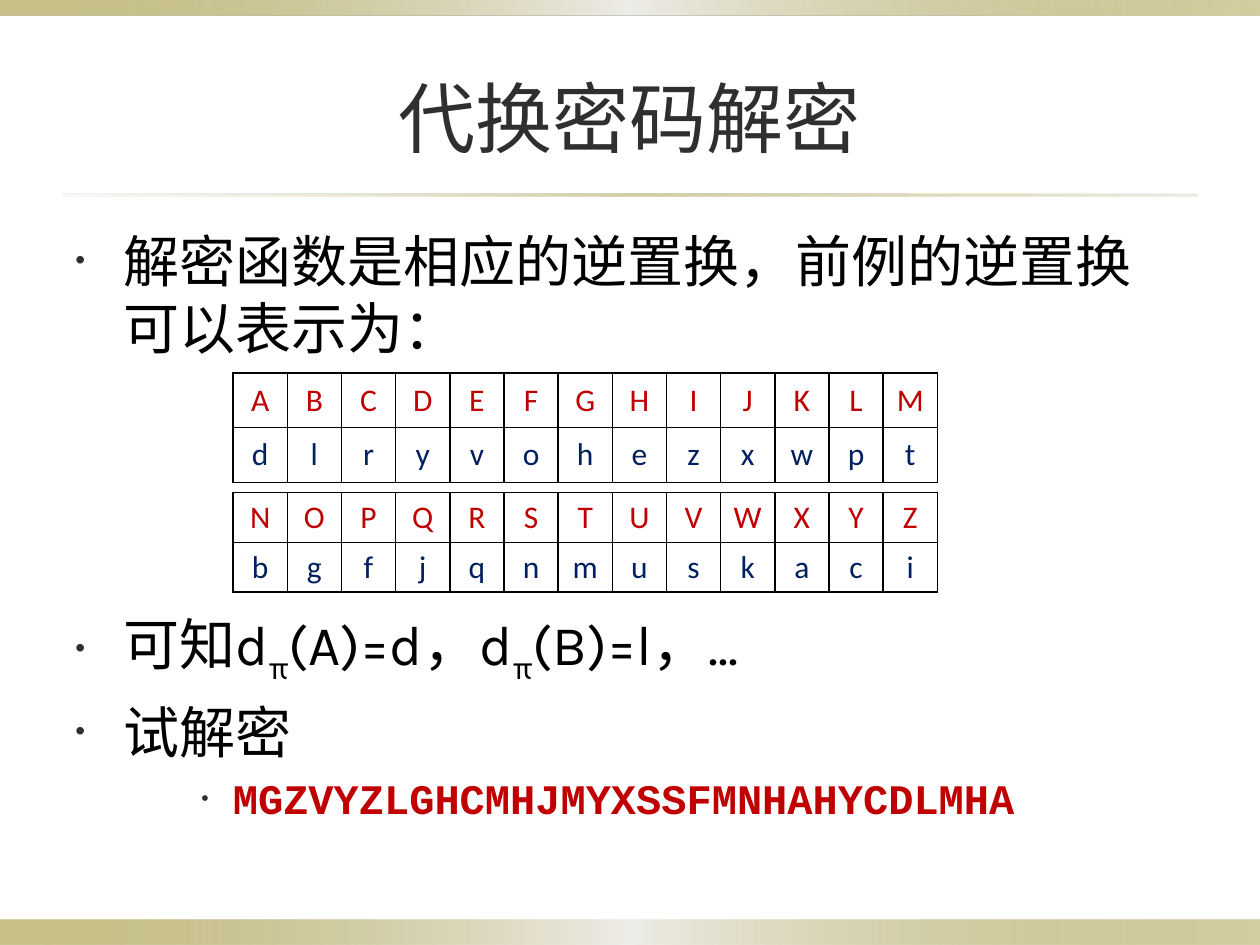
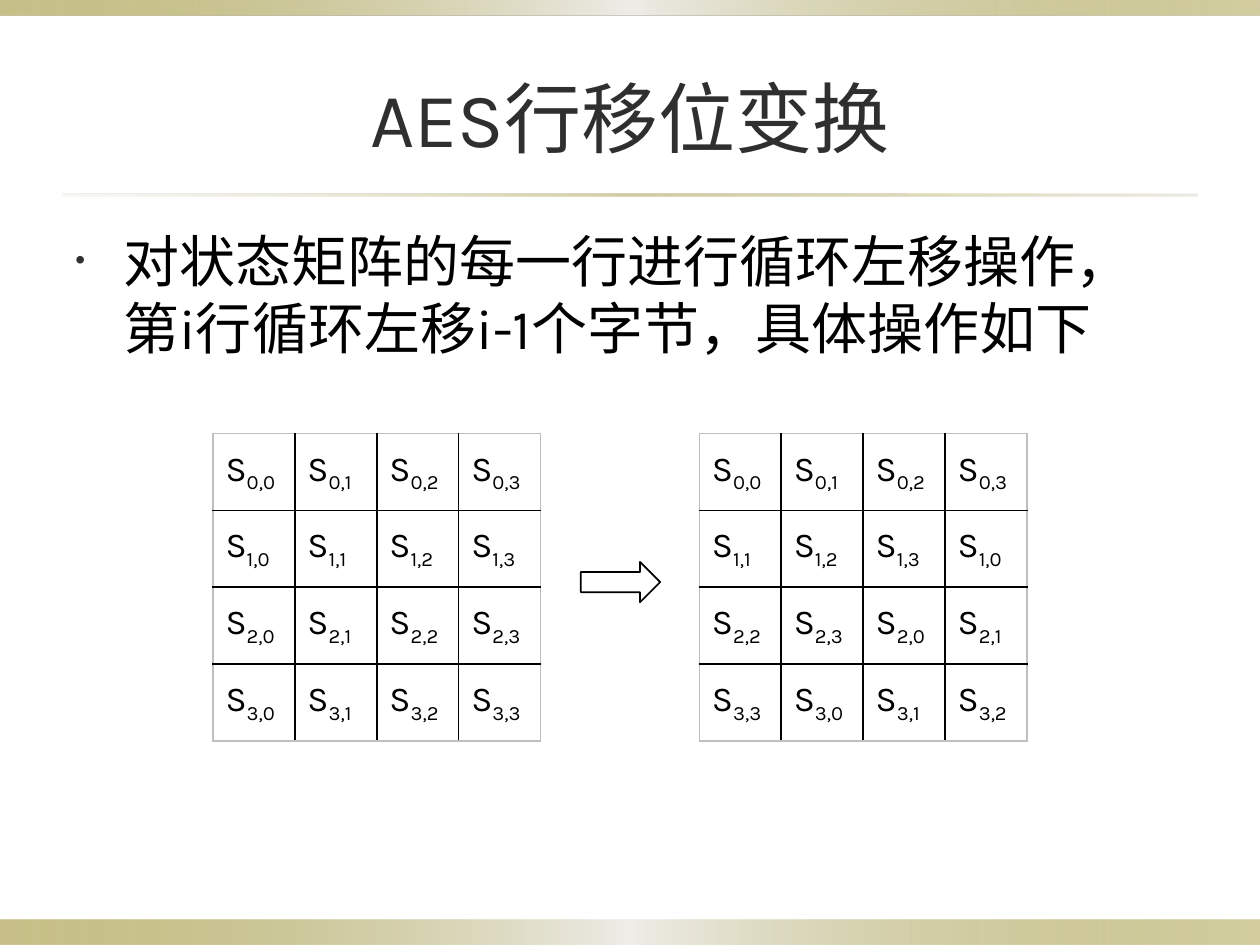
from lxml import etree
from pptx import Presentation
from pptx.dml.color import RGBColor
from pptx.enum.shapes import MSO_SHAPE
from pptx.enum.text import MSO_ANCHOR, PP_ALIGN
from pptx.oxml import parse_xml
from pptx.oxml.ns import nsdecls, qn
from pptx.util import Emu, Inches, Pt

RECTANGLE, RIGHT_ARROW = MSO_SHAPE.RECTANGLE, MSO_SHAPE.RIGHT_ARROW
MIDDLE = MSO_ANCHOR.MIDDLE
LEFT, CENTER = PP_ALIGN.LEFT, PP_ALIGN.CENTER

color = RGBColor.from_string
BLACK, DARK, RED, NAVY = "000000", "2F2F2F", "C00000", "002060"
GREY, OLIVE, CREAM, SAND = "BFBFBF", "918415", "EEEDE8", "DCD9CC"
BODY_FONT, TABLE_FONT, CODE_FONT = "Karla", "Calibri", "Courier New"

BAND_STOPS = [(0, OLIVE, 50), (50, CREAM, 100), (100, OLIVE, 40)]
RULE_STOPS = [(0, SAND, 20), (50, OLIVE, 40), (100, SAND, 50)]
STRIPS = [  # left, top, width, height, gradient
    (0, 7.3, 10, 0.2, BAND_STOPS),
    (0, 0, 10, 0.12, BAND_STOPS),
    (0.5, 1.54, 9, 0.02, RULE_STOPS),
]


def add_spans(para, pieces, size, font, ink, bold=False):
    """Add one run per piece; every second piece is a subscript."""
    for index, piece in enumerate(pieces):
        span = para.add_run()
        span.text = piece
        span.font.size = Pt(size)
        span.font.name = font
        span.font.bold = bold
        span.font.color.rgb = color(ink)
        if index % 2:
            span.font._element.set("baseline", "-25000")


def add_grid(page, place, rows, size, font, inks, align, margins, edge):
    """Add a ruled table; inks has one text colour per row, edge colours the outline."""
    left, top, width, height = [Inches(value) for value in place]
    row_count, col_count = len(rows), len(rows[0])
    table = page.shapes.add_table(row_count, col_count, left, top, width, height).table
    table.first_row = table.horz_banding = False
    for col in table.columns:
        col.width = Emu(width // col_count)
    for r, row in enumerate(rows):
        table.rows[r].height = Emu(height // row_count)
        for c, pieces in enumerate(row):
            cell = table.cell(r, c)
            cell.vertical_anchor = MIDDLE
            cell.margin_left = cell.margin_right = Inches(margins[0])
            cell.margin_top = cell.margin_bottom = Inches(margins[1])
            para = cell.text_frame.paragraphs[0]
            para.alignment = align
            add_spans(para, pieces, size, font, inks[r])
            cell.fill.background()
            outer = {"L": c == 0, "R": c == col_count - 1, "T": r == 0, "B": r == row_count - 1}
            for position, (side, is_outer) in enumerate(outer.items()):
                line = parse_xml(
                    f'<a:ln{side} {nsdecls("a")} w="12700"><a:solidFill>'
                    f'<a:srgbClr val="{edge if is_outer else BLACK}"/>'
                    f'</a:solidFill></a:ln{side}>')
                cell._tc.get_or_add_tcPr().insert(position, line)


deck = Presentation()
deck.slide_width, deck.slide_height = Inches(10), Inches(7.5)

# Body entries: pieces, space before, left indent, hanging, size, font, colour, bold
main_style = (0.38, 0.38, 32, BODY_FONT, BLACK, False)
code_style = (1.25, 0.25, 24, CODE_FONT, RED, True)
contents = [
    ("代换密码解密", [
        (["解密函数是相应的逆置换，前例的逆置换可以表示为："], 0, *main_style),
        (["可知d", "π", "(A)=d，d", "π", "(B)=l，..."], 142, *main_style),
        (["试解密"], 6.4, *main_style),
        (["MGZVYZLGHCMHJMYXSSFMNHAHYCDLMHA"], 4.8, *code_style),
    ]),
    ("AES行移位变换", [
        (["对状态矩阵的每一行进行循环左移操作，第i行循环左移i-1个字节，具体操作如下"], 0, *main_style),
    ]),
]

pages = []
for title, entries in contents:
    page = deck.slides.add_slide(deck.slide_layouts[6])
    pages.append(page)
    for *place, stops in STRIPS:
        strip = page.shapes.add_shape(RECTANGLE, *[Inches(value) for value in place])
        strip.shadow.inherit = False
        strip.line.fill.background()
        strip.fill.background()
        stop_xml = "".join(
            f'<a:gs pos="{pos * 1000}"><a:srgbClr val="{tint}">'
            f'<a:alpha val="{alpha * 1000}"/></a:srgbClr></a:gs>'
            for pos, tint, alpha in stops)
        gradient = parse_xml(
            f'<a:gradFill {nsdecls("a")}><a:gsLst>{stop_xml}</a:gsLst>'
            '<a:lin ang="0" scaled="0"/></a:gradFill>')
        properties = strip._element.spPr
        properties.replace(properties.find(qn("a:noFill")), gradient)

    title_box = page.shapes.add_textbox(Inches(0.5), Inches(0.3), Inches(9), Inches(1.25))
    title_box.text_frame.word_wrap = True
    title_box.text_frame.vertical_anchor = MIDDLE
    para = title_box.text_frame.paragraphs[0]
    para.alignment = CENTER
    add_spans(para, [title], 44, BODY_FONT, DARK)

    body = page.shapes.add_textbox(Inches(0.5), Inches(1.75), Inches(9), Inches(5.13)).text_frame
    body.word_wrap = True
    for index, (pieces, gap, indent, hanging, *style) in enumerate(entries):
        para = body.add_paragraph() if index else body.paragraphs[0]
        if gap:
            para.space_before = Pt(gap)
        properties = para._p.get_or_add_pPr()
        properties.set("marL", str(Inches(indent)))
        properties.set("indent", str(-Inches(hanging)))
        bullet_color = etree.SubElement(properties, qn("a:buClr"))
        etree.SubElement(bullet_color, qn("a:srgbClr"), val=DARK)
        etree.SubElement(properties, qn("a:buSzPct"), val="50000")
        etree.SubElement(properties, qn("a:buFont"), typeface="Arial")
        etree.SubElement(properties, qn("a:buChar"), char="•")
        add_spans(para, pieces, *style)

cipher_page, shift_page = pages

# Inverse substitution, half of the alphabet per table
for top, height, cipher, plain in [
    (2.96, 0.87, "ABCDEFGHIJKLM", "dlryvohezxwpt"),
    (3.91, 0.79, "NOPQRSTUVWXYZ", "bgfjqnmuskaci"),
]:
    add_grid(cipher_page, (1.85, top, 5.59, height), [cipher, plain], 18, TABLE_FONT,
             [RED, NAVY], CENTER, (0.07, 0), BLACK)

# State matrix before and after rotating row i left by i cells
for left, shift in [(1.69, 0), (5.55, 1)]:
    state = [[("S", f"{row},{(col + row * shift) % 4}") for col in range(4)] for row in range(4)]
    add_grid(shift_page, (left, 3.44, 2.6, 2.44), state, 20, BODY_FONT,
             [BLACK] * 4, LEFT, (0.1, 0.05), GREY)

arrow = shift_page.shapes.add_shape(RIGHT_ARROW, Inches(4.61), Inches(4.46), Inches(0.63), Inches(0.32))
arrow.shadow.inherit = False
arrow.fill.background()
arrow.line.color.rgb = color(BLACK)
arrow.line.width = Pt(1)

deck.save("out.pptx")
